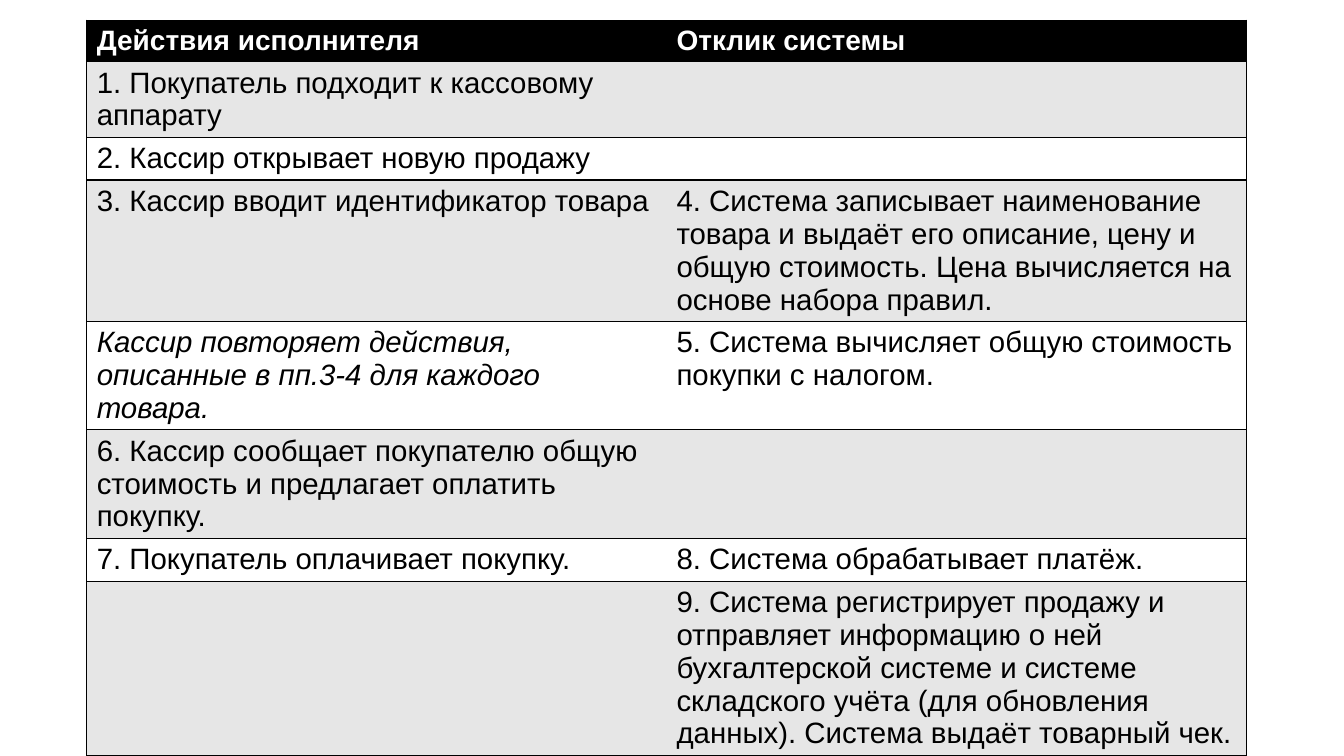
from dataclasses import dataclass

from lxml import etree
from pptx import Presentation
from pptx.dml.color import RGBColor
from pptx.oxml.ns import qn
from pptx.util import Emu, Pt

EMU_PER_PX = 9144  # 100 px to the inch
SLIDE_WIDTH, SLIDE_HEIGHT = 1333, 750
TABLE_LEFT, TABLE_TOP = 86, 20
COLUMN_WIDTH, ROW_HEIGHT = 575, 41
BLANK_LAYOUT = 6
NO_STYLE = "{2D5ABB26-0587-4C30-8999-92F81FD0307C}"

COLORS = {"black": "000000", "white": "FFFFFF", "band": "E6E6E6"}
HEADER_FONT = {"name": "Arial", "size": Pt(20), "bold": True}
BODY_FONT = {"name": "Arial", "size": Pt(21), "bold": False}
# Outer side lines only: no rule between the two columns
COLUMN_EDGES = [("lnL", "lnT", "lnB"), ("lnR", "lnT", "lnB")]


@dataclass
class Step:
    actor: str = ""
    system: str = ""
    actor_italic: bool = False


HEADER = Step("Действия исполнителя", "Отклик системы")
STEPS = [
    Step("1. Покупатель подходит к кассовому аппарату"),
    Step("2. Кассир открывает новую продажу"),
    Step("3. Кассир вводит идентификатор товара",
         "4. Система записывает наименование товара и выдаёт его описание, "
         "цену и общую стоимость. Цена вычисляется на основе набора правил."),
    Step("Кассир повторяет действия, описанные в пп.3-4 для каждого товара.",
         "5. Система вычисляет общую стоимость покупки с налогом.",
         actor_italic=True),
    Step("6. Кассир сообщает покупателю общую стоимость "
         "и предлагает оплатить покупку."),
    Step("7. Покупатель оплачивает покупку.",
         "8. Система обрабатывает платёж."),
    Step(system="9. Система регистрирует продажу и отправляет информацию о ней "
                "бухгалтерской системе и системе складского учёта "
                "(для обновления данных). Система выдаёт товарный чек."),
]


def px(length: int) -> Emu:
    return Emu(length * EMU_PER_PX)


def add_borders(cell, edges: tuple) -> None:
    properties = cell._tc.get_or_add_tcPr()
    for edge in edges:
        line = etree.SubElement(properties, qn(f"a:{edge}"), w=str(Pt(1)))
        fill = etree.SubElement(line, qn("a:solidFill"))
        etree.SubElement(fill, qn("a:srgbClr"), val=COLORS["black"])


def fill_cell(cell, text: str, edges: tuple, background: str,
              text_color: str, font_format: dict) -> None:
    add_borders(cell, edges)
    cell.fill.solid()
    cell.fill.fore_color.rgb = RGBColor.from_string(COLORS[background])
    if text:
        run = cell.text_frame.paragraphs[0].add_run()
        run.text = text
        run.font.color.rgb = RGBColor.from_string(COLORS[text_color])
        for attribute, value in font_format.items():
            setattr(run.font, attribute, value)


def add_step_table(slide) -> None:
    rows = [HEADER, *STEPS]
    frame = slide.shapes.add_table(
        len(rows), 2, px(TABLE_LEFT), px(TABLE_TOP),
        px(2 * COLUMN_WIDTH), px(ROW_HEIGHT * len(rows)))
    table = frame.table
    table.first_row = table.horz_banding = False
    table._tbl.tblPr.find(qn("a:tableStyleId")).text = NO_STYLE
    for column in table.columns:
        column.width = px(COLUMN_WIDTH)

    for index, step in enumerate(rows):
        table.rows[index].height = px(ROW_HEIGHT)
        if index == 0:
            background, text_color, base_font = "black", "white", HEADER_FONT
        else:
            background = "band" if index % 2 else "white"
            text_color, base_font = "black", BODY_FONT
        texts = ((step.actor, step.actor_italic), (step.system, False))
        for column_index, (text, italic) in enumerate(texts):
            fill_cell(table.cell(index, column_index), text,
                      COLUMN_EDGES[column_index], background, text_color,
                      {**base_font, "italic": italic})


def main() -> None:
    presentation = Presentation()
    presentation.slide_width = px(SLIDE_WIDTH)
    presentation.slide_height = px(SLIDE_HEIGHT)
    slide = presentation.slides.add_slide(
        presentation.slide_layouts[BLANK_LAYOUT])
    add_step_table(slide)
    presentation.save("out.pptx")


if __name__ == "__main__":
    main()
